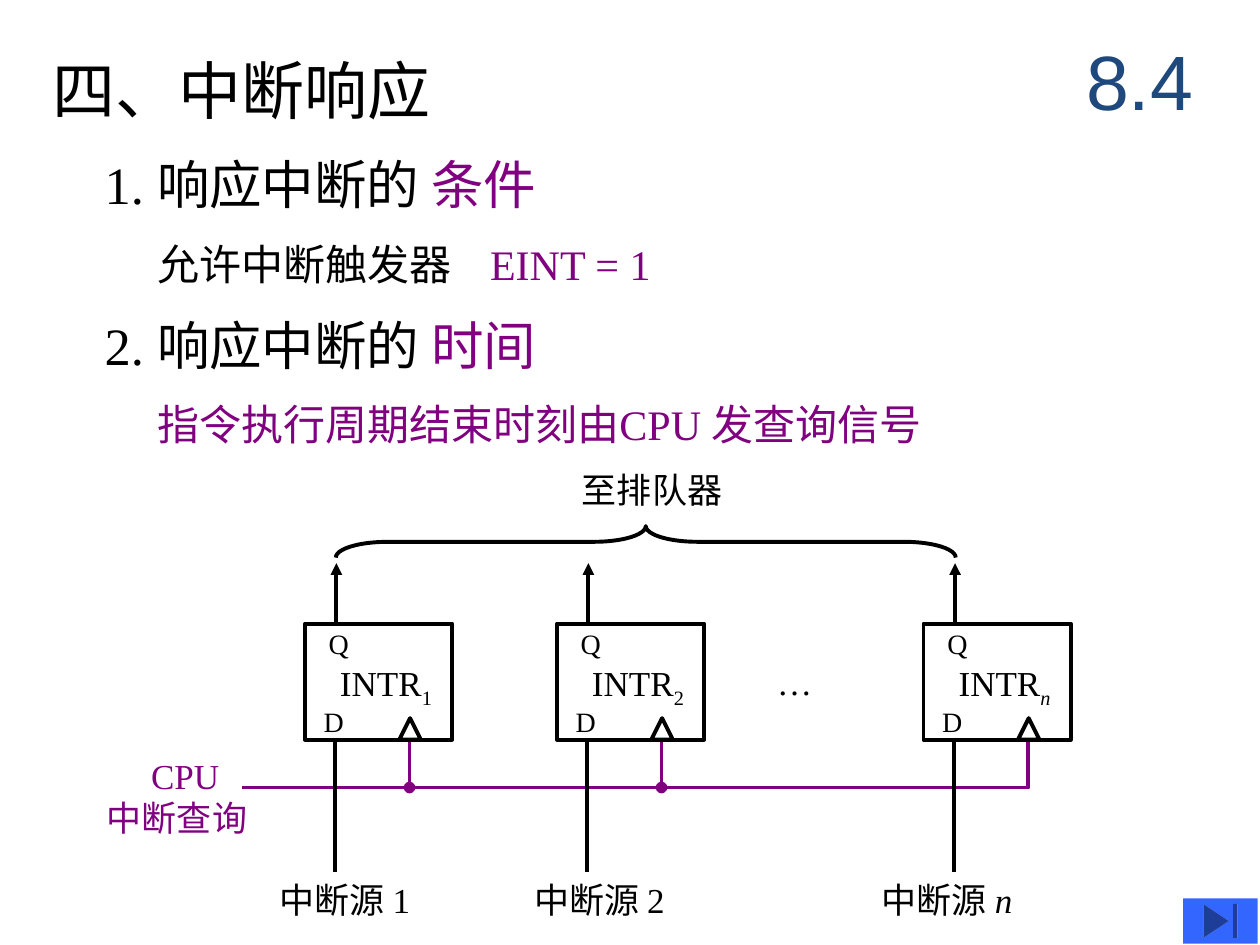
import pptx
import pptx.dml.color
import pptx.enum.shapes
import pptx.enum.text
import pptx.oxml
import pptx.oxml.ns
import pptx.util
from pptx.util import Inches

BLACK = pptx.dml.color.RGBColor(0x00, 0x00, 0x00)
PURPLE = pptx.dml.color.RGBColor(0x80, 0x00, 0x80)
NAVY = pptx.dml.color.RGBColor(0x1F, 0x49, 0x7D)
BLUE = pptx.dml.color.RGBColor(0x33, 0x66, 0xFF)
LINE_WIDTH = pptx.util.Pt(2.25)
SHAPES = pptx.enum.shapes.MSO_SHAPE
ANCHOR = pptx.enum.text.MSO_ANCHOR
ALIGN = pptx.enum.text.PP_ALIGN
TAG = '<a:{} xmlns:a="http://schemas.openxmlformats.org/drawingml/2006/main"{}/>'


def make_element(name, attributes=""):
    """Return an empty drawing element."""
    return pptx.oxml.parse_xml(TAG.format(name, attributes))


def add_text(slide, box, *paragraphs, size=20, color=BLACK, font="Times New Roman",
             margin=0.1, anchor=ANCHOR.TOP, align=ALIGN.LEFT, wrap=False,
             first_indent=0, tab=None):
    """Add a text box whose paragraphs are strings or lists of (text, format) runs."""
    frame = slide.shapes.add_textbox(*map(Inches, box)).text_frame
    frame.word_wrap = wrap
    frame.vertical_anchor = anchor
    frame.margin_left = frame.margin_right = Inches(margin)
    for index, content in enumerate(paragraphs):
        paragraph = frame.add_paragraph() if index else frame.paragraphs[0]
        paragraph.alignment = align
        properties = paragraph._p.get_or_add_pPr()
        if first_indent and index == 0:
            properties.set("marL", str(Inches(first_indent)))
        if tab:
            tabs = make_element("tabLst")
            tabs.append(make_element("tab", f' pos="{Inches(tab)}" algn="l"'))
            properties.append(tabs)
        runs = [(content, {})] if isinstance(content, str) else content
        for text, style in runs:
            run = paragraph.add_run()
            run.text = text
            run.font.name = font
            run.font.size = pptx.util.Pt(size)
            run.font.color.rgb = style.get("color", color)
            if style.get("italic"):
                run.font.italic = True
            if style.get("subscript"):
                run.font._element.set("baseline", "-25000")


def add_outline(slide, kind, box):
    """Add an unfilled black preset shape."""
    shape = slide.shapes.add_shape(kind, *map(Inches, box))
    shape.shadow.inherit = False
    shape.fill.background()
    shape.line.color.rgb = BLACK
    shape.line.width = LINE_WIDTH
    return shape


def add_line(slide, start, end, color=BLACK, tail=None):
    """Add a straight line with an optional end mark."""
    connector = slide.shapes.add_connector(
        pptx.enum.shapes.MSO_CONNECTOR.STRAIGHT, *map(Inches, (*start, *end)))
    connector.line.color.rgb = color
    connector.line.width = LINE_WIDTH
    connector._element.spPr.append(make_element("effectLst"))
    if tail:
        connector.line._get_or_add_ln().append(
            make_element("tailEnd", f' type="{tail}" w="med" len="med"'))


def add_headings(slide, left, top):
    """Place the title and the numbered points."""
    purple = {"color": PURPLE}
    style = {"margin": 0, "anchor": ANCHOR.MIDDLE, "wrap": True}
    add_text(slide, (left, top, 6.92, 0.58), "四、中断响应", size=36, **style)
    points = [
        (0.41, 30, [("1. 响应中断的 ", {}), ("条件", purple)], None),
        (0.83, 24, [("允许中断触发器\t", {}), ("EINT = 1", purple)], 2.64),
        (0.41, 30, [("2. 响应中断的 ", {}), ("时间", purple)], None),
        (0.83, 24, [("指令执行周期结束时刻由CPU 发查询信号", purple)], None),
    ]
    for index, (indent, size, runs, tab) in enumerate(points):
        box = (left + indent, top + 0.75 + 0.635 * index, 7.33, 0.58)
        add_text(slide, box, runs, size=size, tab=tab, **style)


def add_query_bus(slide, left, top, clocks, clock_top):
    """Draw the query line with a tap to every clock input."""
    *inner, last = clocks
    builder = slide.shapes.build_freeform(Inches(left), Inches(top))
    builder.add_line_segments(
        [(Inches(last), Inches(top)), (Inches(last), Inches(clock_top))], close=False)
    bus = builder.convert_to_shape()
    bus.shadow.inherit = False
    bus.fill.background()
    bus.line.color.rgb = PURPLE
    bus.line.width = LINE_WIDTH
    for clock in inner:
        add_line(slide, (clock, clock_top), (clock, top), PURPLE, "oval")
    add_text(slide, (left - 1.17, top - 0.31, 1.31, 0.77), "CPU", "中断查询",
             color=PURPLE, first_indent=0.35)


def add_flip_flop(slide, left, top, name, source_offset):
    """Draw one request flip-flop with its output, data input and source."""
    width, height = 1.17, 0.92
    bottom = top + height
    italic = name == "n"
    add_line(slide, (left + 0.25, top + 0.02), (left + 0.25, top - 0.48), tail="triangle")
    add_text(slide, (left + 0.18, top + 0.25, 0.93, 0.48),
             [("INTR", {}), (name, {"subscript": True, "italic": italic})])
    add_outline(slide, SHAPES.RECTANGLE, (left, top, width, height))
    add_text(slide, (left + 0.05, top + 0.59, 0.36, 0.37), "D", size=16)
    add_text(slide, (left + 0.09, top - 0.03, 0.36, 0.37), "Q", size=16)
    add_outline(slide, SHAPES.ISOSCELES_TRIANGLE, (left + 0.75, bottom - 0.17, 0.17, 0.17))
    add_line(slide, (left + 0.24, bottom), (left + 0.24, bottom + 1.05))
    add_text(slide, (left + source_offset, bottom + 1.05, 1.3, 0.44),
             [("中断源 ", {}), (name, {"italic": italic})])


def add_circuit(slide, left, top):
    """Draw the flip-flops, the query bus and the brace to the queue."""
    flip_flops = [(0, "1", -0.3), (2, "2", -0.28), (4.91, "n", -0.43)]
    clocks = [left + offset + 0.83 for offset, _, _ in flip_flops]
    add_query_bus(slide, left - 0.5, top + 1.3, clocks, top + 0.92)
    for offset, name, source_offset in flip_flops:
        add_flip_flop(slide, left + offset, top, name, source_offset)
    add_text(slide, (left + 3.65, top + 0.24, 0.48, 0.44), "…")
    brace = add_outline(slide, SHAPES.LEFT_BRACE, (left + 2.58, top - 3.11, 0.25, 4.92))
    brace.rotation = 90
    brace.adjustments[0] = 1.64
    add_text(slide, (left + 2.1, top - 1.28, 1.31, 0.44), "至排队器")


def add_end_button(slide, left, top):
    """Place the button that goes to the end."""
    box = map(Inches, (left, top, 0.59, 0.36))
    button = slide.shapes.add_shape(SHAPES.ACTION_BUTTON_END, *box)
    button.shadow.inherit = False
    button.fill.solid()
    button.fill.fore_color.rgb = BLUE
    button.line.fill.background()


def main():
    """Build and save the presentation."""
    presentation = pptx.Presentation()
    presentation.slide_width, presentation.slide_height = Inches(10), Inches(7.5)
    slide = presentation.slides.add_slide(presentation.slide_layouts[6])
    add_headings(slide, 0.42, 0.42)
    add_circuit(slide, 2.42, 4.95)
    add_text(slide, (8.42, 0.17, 1.25, 0.92), "8.4", size=44, color=NAVY, font="Arial",
             anchor=ANCHOR.MIDDLE, align=ALIGN.CENTER, wrap=True)
    add_end_button(slide, 9.39, 7.13)
    presentation.save("out.pptx")


if __name__ == "__main__":
    main()
